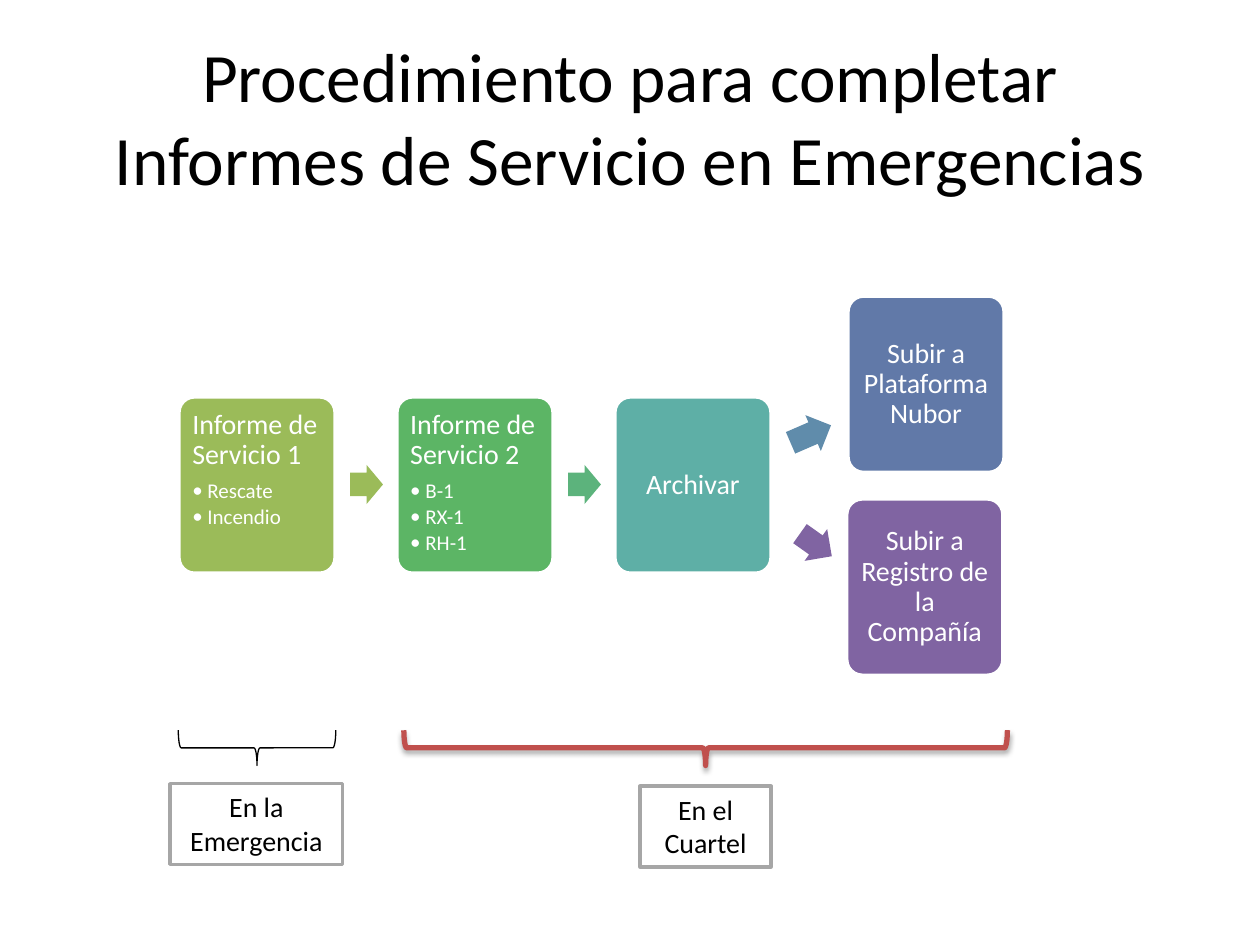
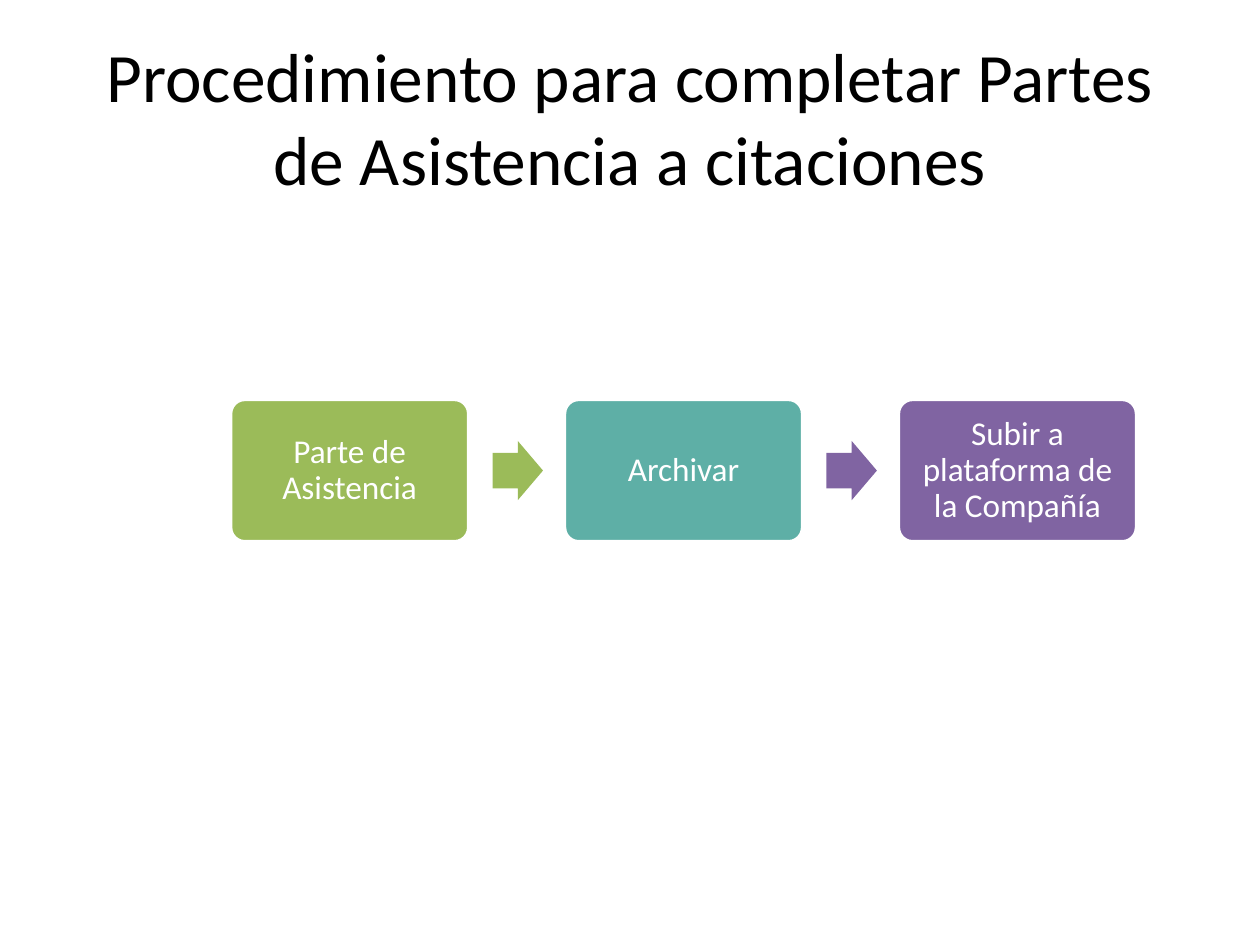
from dataclasses import dataclass

from lxml.etree import SubElement
from pptx import Presentation
from pptx.dml.color import RGBColor
from pptx.enum.shapes import MSO_SHAPE
from pptx.enum.text import MSO_ANCHOR, PP_ALIGN
from pptx.oxml.ns import qn
from pptx.util import Emu, Pt

PX = 9144  # EMU per px: 100 px to the inch


@dataclass(frozen=True)
class Theme:
    font: str = "Calibri"
    white: str = "FFFFFF"
    black: str = "000000"
    gray: str = "A6A6A6"
    red: str = "C0504D"
    olive: str = "9BBB59"
    green: str = "5CB565"
    mint: str = "5CB37C"
    teal: str = "5EAFA6"
    steel: str = "608CAB"
    blue: str = "6179A8"
    purple: str = "8064A2"
    title_size: float = 39.6
    step_size: int = 19
    label_size: int = 16
    bullet_size: int = 12


class Deck:
    def __init__(self, theme):
        self.t = theme
        self.prs = Presentation()
        self.prs.slide_width, self.prs.slide_height = Emu(1000 * PX), Emu(750 * PX)

    def slide(self, title):
        self.s = self.prs.slides.add_slide(self.prs.slide_layouts[6])
        box = self.s.shapes.add_textbox(*[Emu(v * PX) for v in (50, 30, 900, 125)])
        self.frame(box, MSO_ANCHOR.MIDDLE)
        self.text(box, title, self.t.title_size, self.t.black)

    def shape(self, kind, x, y, w, h, fill=None, line=None, width=2, rot=0):
        sp = self.s.shapes.add_shape(kind, *[Emu(v * PX) for v in (x, y, w, h)])
        sp.shadow.inherit = False
        sp.rotation = rot
        if fill:
            sp.fill.solid()
            sp.fill.fore_color.rgb = RGBColor.from_string(fill)
        else:
            sp.fill.background()
        if line:
            sp.line.color.rgb = RGBColor.from_string(line)
            sp.line.width = Pt(width)
        else:
            sp.line.fill.background()
        return sp

    def frame(self, sp, anchor, inset=None):
        tf = sp.text_frame
        tf.word_wrap = True
        tf.vertical_anchor = anchor
        if inset is not None:
            tf.margin_left = tf.margin_right = Emu(inset * PX)
            tf.margin_top = tf.margin_bottom = Emu(inset * PX)

    def text(self, sp, text, size, color, align=PP_ALIGN.CENTER, spacing=1.0, new=False):
        tf = sp.text_frame
        p = tf.add_paragraph() if new else tf.paragraphs[0]
        p.alignment, p.line_spacing = align, spacing
        r = p.add_run()
        r.text = text
        r.font.name, r.font.size = self.t.font, Pt(size)
        r.font.color.rgb = RGBColor.from_string(color)
        return p

    def bullet(self, sp, text):
        p = self.text(sp, text, self.t.bullet_size, self.t.white, PP_ALIGN.LEFT, 0.9, new=True)
        p.space_after = Pt(0.15 * self.t.bullet_size)
        pPr = p._p.get_or_add_pPr()
        pPr.set("marL", str(12 * PX))
        pPr.set("indent", str(-12 * PX))
        SubElement(pPr, qn("a:buFont"), typeface=self.t.font)
        SubElement(pPr, qn("a:buChar"), char="•")

    def card(self, x, y, w, h, fill, text, size, inset, bullets=()):
        sp = self.shape(MSO_SHAPE.ROUNDED_RECTANGLE, x, y, w, h, fill, self.t.white)
        sp.adjustments[0] = 0.1
        self.frame(sp, MSO_ANCHOR.TOP if bullets else MSO_ANCHOR.MIDDLE, inset)
        align = PP_ALIGN.LEFT if bullets else PP_ALIGN.CENTER
        p = self.text(sp, text, size, self.t.white, align, 0.9)
        if bullets:
            p.space_after = Pt(0.35 * size)
        for item in bullets:
            self.bullet(sp, item)

    def arrow(self, x, y, w, h, fill, rot=0):
        sp = self.shape(MSO_SHAPE.RIGHT_ARROW, x, y, w, h, fill, rot=rot)
        sp.adjustments[0], sp.adjustments[1] = 0.6, 0.5

    def flow(self, x, y, w, h, pitch, arrow, steps, arrow_fills, size, inset):
        """Row of equal cards, with an arrow in each gap."""
        gap, aw, ah = arrow
        for i, (fill, text, bullets) in enumerate(steps):
            self.card(x + i * pitch, y, w, h, fill, text, size, inset, bullets)
        for i, fill in enumerate(arrow_fills):
            self.arrow(x + i * pitch + w + gap, y + (h - ah) // 2, aw, ah, fill)

    def brace(self, x, y, w, h, color, width, shadow=False):
        """Brace under a span: a left brace turned to point down."""
        sp = self.shape(MSO_SHAPE.LEFT_BRACE, x + (w - h) // 2, y + (h - w) // 2, h, w,
                        line=color, width=width, rot=270)
        if shadow:
            effects = sp._element.spPr.find(qn("a:effectLst"))
            outer = SubElement(effects, qn("a:outerShdw"), blurRad=str(Pt(3.1)),
                               dist=str(Pt(1.8)), dir="5400000", rotWithShape="0")
            clr = SubElement(outer, qn("a:srgbClr"), val=self.t.black)
            SubElement(clr, qn("a:alpha"), val="35000")

    def label(self, x, y, w, h, text):
        sp = self.shape(MSO_SHAPE.RECTANGLE, x, y, w, h, self.t.white, self.t.gray)
        self.frame(sp, MSO_ANCHOR.TOP)
        self.text(sp, text, self.t.label_size, self.t.black)


def emergency_slide(d):
    t = d.t
    d.slide("Procedimiento para completar Informes de Servicio en Emergencias")
    # Reports and filing
    steps = [(t.olive, "Informe de Servicio 1", ("Rescate", "Incendio")),
             (t.green, "Informe de Servicio 2", ("B-1", "RX-1", "RH-1")),
             (t.teal, "Archivar", ())]
    d.flow(142, 315, 124, 140, 173, (12, 26, 31), steps, (t.olive, t.mint), t.label_size, 7)
    # Two upload branches
    d.arrow(626, 329, 35, 31, t.steel, 336.6)
    d.card(673, 235, 124, 140, t.blue, "Subir a Plataforma Nubor", t.label_size, 7)
    d.arrow(632, 417, 31, 31, t.purple, 35.4)
    d.card(672, 396, 124, 140, t.purple, "Subir a Registro de la Compañía", t.label_size, 7)
    # Where each stage happens
    d.brace(142, 580, 125, 28, t.black, 0.75)
    d.brace(321, 580, 479, 28, t.red, 3, shadow=True)
    d.label(135, 622, 137, 64, "En la Emergencia")
    d.label(508, 624, 104, 64, "En el Cuartel")


def attendance_slide(d):
    t = d.t
    d.slide("Procedimiento para completar Partes de Asistencia a citaciones")
    # Attendance flow
    steps = [(t.olive, "Parte de Asistencia", ()),
             (t.teal, "Archivar", ()),
             (t.purple, "Subir a plataforma de la Compañía", ())]
    d.flow(183, 317, 189, 113, 265, (19, 40, 47), steps, (t.olive, t.purple), t.step_size, 8)


def main():
    d = Deck(Theme())
    emergency_slide(d)
    attendance_slide(d)
    d.prs.save("out.pptx")


if __name__ == "__main__":
    main()
